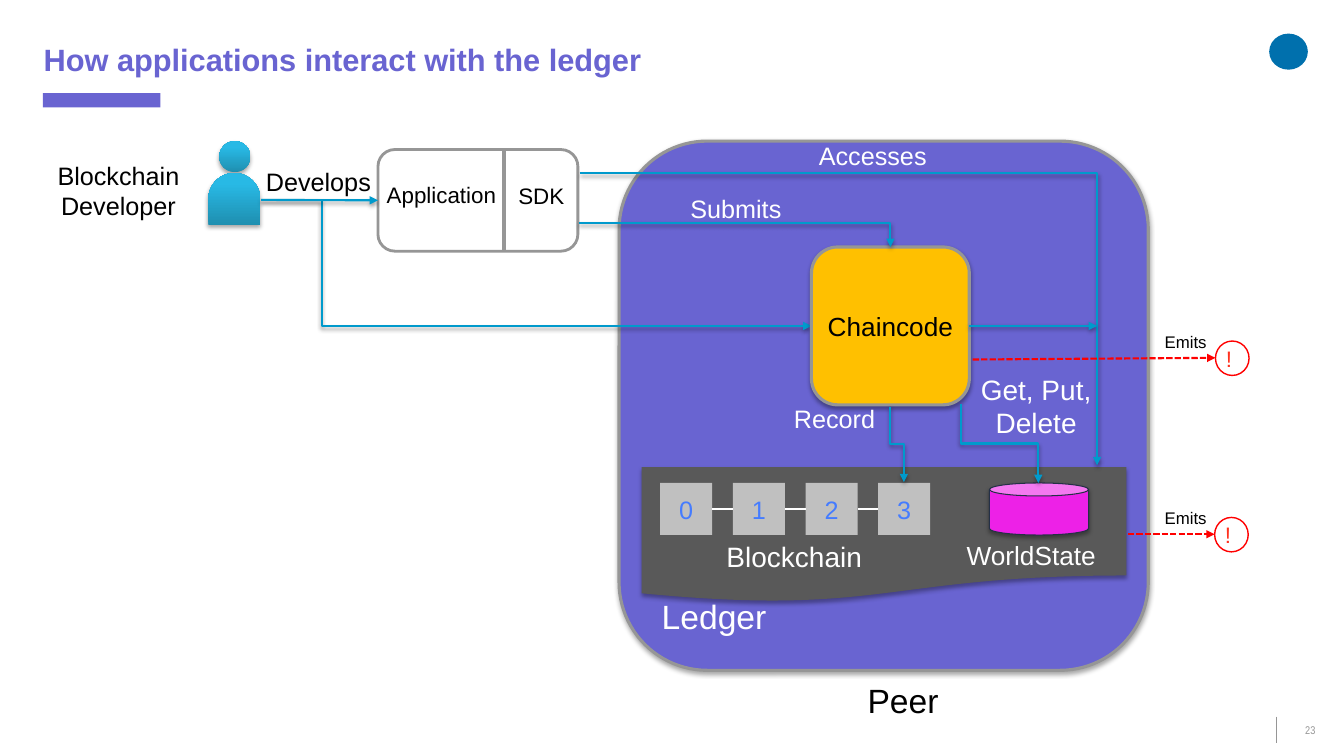
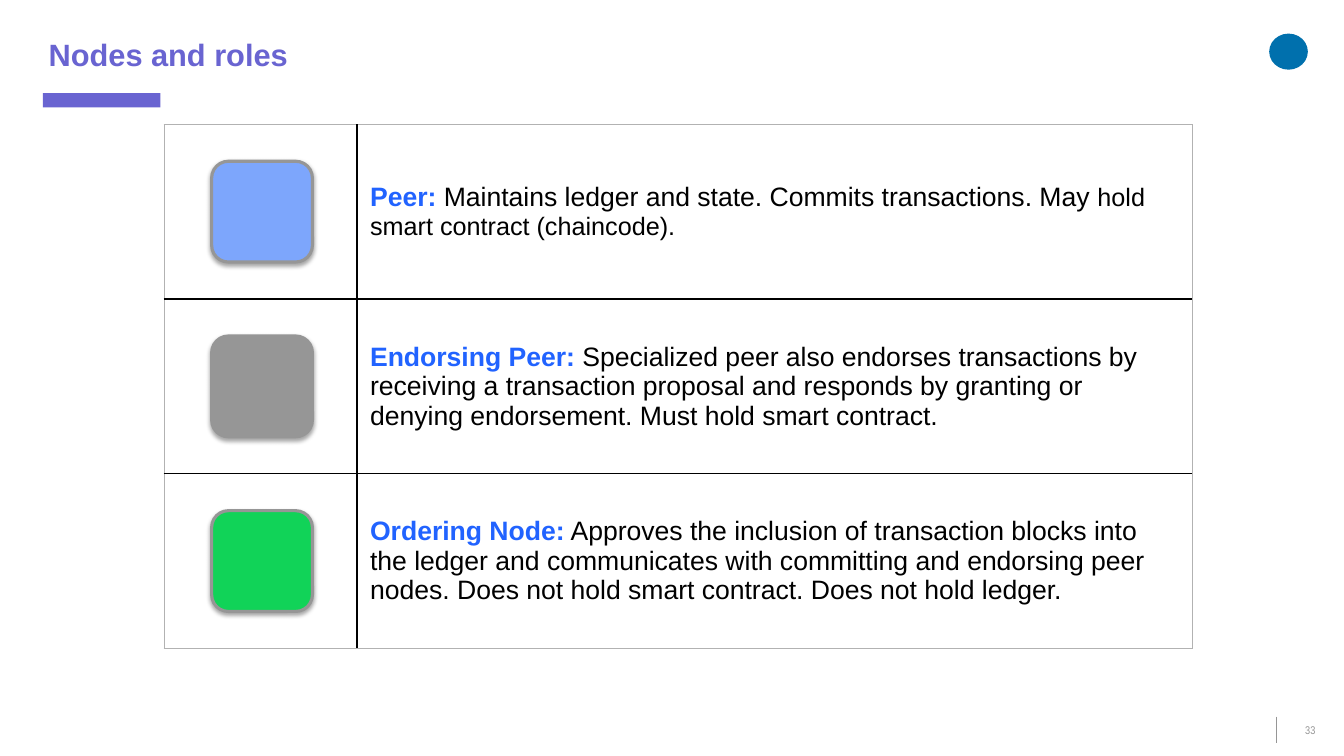
from dataclasses import dataclass
from typing import Optional

import lxml.etree
import pptx
import pptx.dml.color
import pptx.enum.dml
import pptx.enum.shapes
import pptx.enum.text
import pptx.oxml.ns
import pptx.presentation
import pptx.shapes.autoshape
import pptx.shapes.connector
import pptx.slide
import pptx.util

Deck = pptx.presentation.Presentation
Slide = pptx.slide.Slide
Shape = pptx.shapes.autoshape.Shape
Connector = pptx.shapes.connector.Connector
Kind = pptx.enum.shapes.MSO_SHAPE
Align = pptx.enum.text.PP_ALIGN
Anchor = pptx.enum.text.MSO_ANCHOR
Pt = pptx.util.Pt
qn = pptx.oxml.ns.qn

# The slide is a grid of 160 columns by 90 rows.
SLIDE_COLUMNS, SLIDE_ROWS = 160, 90
CELL = pptx.util.Inches(7.5) / SLIDE_ROWS

FONT = "Arial"
VIOLET, CYAN, GREY, RED = "6964D1", "009ACC", "969696", "FF0000"
BLACK, WHITE, TERM_BLUE = "000000", "FFFFFF", "2163FF"
NO_INSETS = (0, 0, 0, 0)

Point = tuple[float, float]


@dataclass(frozen=True)
class Box:
    left: float
    top: float
    width: float
    height: float


@dataclass(frozen=True)
class Label:
    text: str
    box: Box
    size: float = 18
    color: str = BLACK
    align: Align = Align.CENTER


@dataclass(frozen=True)
class Role:
    term: str
    duties: tuple[tuple[str, float], ...]
    color: str


def grid(cells: float) -> int:
    return round(cells * CELL)


def place(box: Box) -> tuple[int, int, int, int]:
    return grid(box.left), grid(box.top), grid(box.width), grid(box.height)


def rgb(color: str) -> pptx.dml.color.RGBColor:
    return pptx.dml.color.RGBColor.from_string(color)


def set_effects(target: Shape | Connector, opacity: int = 0) -> None:
    """Give a soft shadow straight below, or no effect when opacity is 0."""
    effects = lxml.etree.SubElement(target._element.spPr, qn("a:effectLst"))
    if opacity:
        shadow = lxml.etree.SubElement(effects, qn("a:outerShdw"), blurRad=str(Pt(3.1)),
                                       dist=str(Pt(1.8)), dir="5400000", rotWithShape="0")
        tint = lxml.etree.SubElement(shadow, qn("a:srgbClr"), val=BLACK)
        lxml.etree.SubElement(tint, qn("a:alpha"), val=str(opacity * 1000))


def write(shape: Shape, text: str, size: float, color: str, align: Align,
          insets: Optional[tuple[int, ...]] = None, bold: bool = False,
          font: str = FONT) -> None:
    frame = shape.text_frame
    frame.word_wrap = True
    if insets is not None:
        (frame.margin_left, frame.margin_top,
         frame.margin_right, frame.margin_bottom) = insets
    frame.text = text
    for paragraph in frame.paragraphs:
        paragraph.alignment = align
        paragraph.font.name = font
        paragraph.font.size = Pt(size)
        paragraph.font.bold = bold
        paragraph.font.color.rgb = rgb(color)


def add_label(slide: Slide, label: Label) -> None:
    write(slide.shapes.add_textbox(*place(label.box)), label.text, label.size,
          label.color, label.align)


def add_block(slide: Slide, kind: Kind, box: Box, fill: Optional[str] = None,
              outline: Optional[str] = None, weight: float = 2.25,
              shadow: bool = False) -> Shape:
    shape = slide.shapes.add_shape(kind, *place(box))
    if fill:
        shape.fill.solid()
        shape.fill.fore_color.rgb = rgb(fill)
    else:
        shape.fill.background()
    if outline:
        shape.line.color.rgb = rgb(outline)
        shape.line.width = Pt(weight)
    else:
        shape.line.fill.background()
    if shadow:
        set_effects(shape, 35)
    else:
        shape.shadow.inherit = False
    return shape


def style_line(line: Connector, color: str, weight: float, arrow: bool, shadow: bool) -> None:
    line.line.color.rgb = rgb(color)
    line.line.width = Pt(weight)
    if arrow:
        lxml.etree.SubElement(line.line._get_or_add_ln(), qn("a:tailEnd"), type="triangle")
    set_effects(line, 38 if shadow else 0)


def add_line(slide: Slide, start: Point, end: Point, color: str = CYAN, weight: float = 1.5,
             arrow: bool = False, shadow: bool = False, dashed: bool = False) -> Connector:
    line = slide.shapes.add_connector(pptx.enum.shapes.MSO_CONNECTOR.STRAIGHT,
                                      *map(grid, start + end))
    if dashed:
        line.line.dash_style = pptx.enum.dml.MSO_LINE.SQUARE_DOT
    style_line(line, color, weight, arrow, shadow)
    return line


def add_elbow(slide: Slide, start: Point, end: Point, turn: Optional[float] = None,
              vertical: bool = False) -> None:
    """Draw a bent arrow with one corner, or with two at the share `turn` of its way."""
    if vertical:
        middle_x, middle_y = (start[0] + end[0]) / 2, (start[1] + end[1]) / 2
        half_x, half_y = (end[0] - start[0]) / 2, (end[1] - start[1]) / 2
        start = (middle_x + half_y, middle_y - half_x)
        end = (middle_x - half_y, middle_y + half_x)
    elbow = slide.shapes.add_connector(pptx.enum.shapes.MSO_CONNECTOR.ELBOW,
                                       *map(grid, start + end))
    properties = elbow._element.spPr
    if vertical:
        properties.find(qn("a:xfrm")).set("rot", "16200000")
    geometry = properties.find(qn("a:prstGeom"))
    if turn is None:
        geometry.set("prst", "bentConnector2")
    else:
        guides = geometry.find(qn("a:avLst"))
        if guides is None:
            guides = lxml.etree.SubElement(geometry, qn("a:avLst"))
        lxml.etree.SubElement(guides, qn("a:gd"), name="adj1",
                              fmla=f"val {round(turn * 100000)}")
    style_line(elbow, CYAN, 1.5, arrow=True, shadow=True)


def add_base(deck: Deck, title: str, left: float, top: float, number: int) -> Slide:
    """Add a blank slide with title, accent bar, emblem and page number."""
    slide = deck.slides.add_slide(deck.slide_layouts[6])
    add_line(slide, (152, 85.3), (152, 88.4), GREY, 0.75)
    page = slide.shapes.add_textbox(*place(Box(152, 85.3, 8, 3.2)))
    write(page, str(number), 8, GREY, Align.CENTER, font="Arial Narrow")
    page.text_frame.vertical_anchor = Anchor.MIDDLE
    add_block(slide, Kind.RECTANGLE, Box(5.1, 11.1, 14, 1.7), VIOLET)
    add_block(slide, Kind.OVAL, Box(151.1, 4, 4.6, 4.3), "0070AD")
    heading = slide.shapes.add_textbox(*place(Box(left, top, 136, 6)))
    write(heading, title, 22, VIOLET, Align.LEFT, NO_INSETS, bold=True)
    return slide


def add_developer(slide: Slide) -> None:
    head = add_block(slide, Kind.OVAL, Box(26.1, 16.8, 3.7, 3.7), CYAN, shadow=True)
    body = add_block(slide, Kind.ROUND_2_SAME_RECTANGLE, Box(24.8, 20.6, 6.2, 6.2), CYAN,
                     shadow=True)
    body.adjustments[0], body.adjustments[1] = 0.5, 0
    for figure in (head, body):
        figure.fill.gradient()
        figure.fill.gradient_angle = 90
        for stop, color, position in zip(figure.fill.gradient_stops, ("1F8FB0", "28B9E5"),
                                         (0, 0.8)):
            stop.color.rgb = rgb(color)
            stop.position = position


def add_event(slide: Slide, source: Point, left: float, top: float) -> None:
    """Draw a dashed arrow from its source to a ringed exclamation mark."""
    add_line(slide, source, (left, top + 2), RED, arrow=True, dashed=True)
    ring = add_block(slide, Kind.OVAL, Box(left, top, 4, 4.1), WHITE, RED, 1)
    write(ring, "!", 16, "FF3220", Align.CENTER, (0, 0, grid(0.8), 0))
    add_label(slide, Label("Emits", Box(133.9, top - 1.7, 14.5, 3.6), 12))


def add_chain(slide: Slide) -> None:
    side, step = 6.2, 8.65
    previous = None
    for index in range(4):
        left = 78.6 + index * step
        block = add_block(slide, Kind.RECTANGLE, Box(left, 57.5, side, side), "C0C0C0")
        write(block, str(index), 18, "457CFF", Align.CENTER)
        if previous is not None:
            link = add_line(slide, (left - step + side, 60.6), (left, 60.6), WHITE)
            link.begin_connect(previous, 3)
            link.end_connect(block, 1)
        previous = block


def build_interaction(deck: Deck) -> None:
    slide = add_base(deck, "How applications interact with the ledger", 5.2, 4.8, 23)
    add_block(slide, Kind.ROUNDED_RECTANGLE, Box(73.7, 16.8, 63, 63), VIOLET, GREY, shadow=True)
    add_elbow(slide, (31.1, 23.8), (96.6, 38.8), turn=0.11)
    add_developer(slide)

    application = add_block(slide, Kind.ROUNDED_RECTANGLE, Box(45, 17.8, 23.8, 12.1),
                            outline=GREY, weight=2)
    add_line(slide, (60, 17.8), (60, 29.8), GREY, 2.25)
    develops = add_line(slide, (31.1, 23.8), (45, 23.8), arrow=True, shadow=True)
    develops.end_connect(application, 1)

    chaincode = add_block(slide, Kind.ROUNDED_RECTANGLE, Box(96.6, 29.4, 18.8, 18.8), "FFC000",
                          GREY, shadow=True)
    write(chaincode, "Chaincode", 18.7, BLACK, Align.CENTER, NO_INSETS)
    add_elbow(slide, (68.9, 26.6), (106, 29.4))

    add_block(slide, Kind.FLOWCHART_DOCUMENT, Box(76.4, 55.6, 57.7, 16.1), "595959", shadow=True)
    add_chain(slide)
    add_block(slide, Kind.CAN, Box(117.8, 57.5, 11.8, 6.2), "ED21E7", "243046", 0.75, shadow=True)
    add_elbow(slide, (114.4, 48.1), (123.6, 57.5), turn=0.5, vertical=True)
    add_elbow(slide, (106, 48.4), (107.6, 57.4), turn=0.5, vertical=True)
    add_elbow(slide, (69, 20.6), (130.6, 55.4))
    access = add_line(slide, (115.4, 38.8), (130.6, 38.8), arrow=True, shadow=True)
    access.begin_connect(chaincode, 3)

    add_event(slide, (134.3, 63.6), 144.6, 61.6)
    add_event(slide, (115.8, 42.8), 144.7, 40.6)
    for label in (
        Label("Blockchain\nDeveloper", Box(0, 18.5, 28.2, 8.5)),
        Label("Develops", Box(29.9, 19.2, 16, 8.5)),
        Label("Application", Box(43.9, 21, 17.3, 4.4), 16),
        Label("SDK", Box(59.9, 21.1, 9.1, 4.4), 16),
        Label("Accesses", Box(95.9, 16.1, 16, 8.5), color=WHITE),
        Label("Submits", Box(79.6, 22.4, 16, 4.8), color=WHITE),
        Label("Record", Box(90.4, 47.4, 17.9, 4.8), color=WHITE),
        Label("Get, Put, Delete", Box(114.4, 43.7, 17.9, 9.2), 20, WHITE),
        Label("Blockchain", Box(85.3, 63.6, 22.3, 5.3), 20, WHITE, Align.LEFT),
        Label("WorldState", Box(113.9, 63.6, 19.4, 5), 18.7, WHITE, Align.LEFT),
        Label("Ledger", Box(77.6, 70.4, 16, 6), 24, WHITE, Align.LEFT),
        Label("Peer", Box(102.1, 80.4, 16, 6), 24, align=Align.LEFT),
    ):
        add_label(slide, label)


ROLES = (
    Role("Peer:", ((" Maintains ledger and state. Commits transactions. May ", 19),
                   ("hold smart contract (chaincode).", 18)), "7DA6FC"),
    Role("Endorsing Peer:", ((" Specialized peer also endorses transactions by receiving a "
                              "transaction proposal and responds by granting or denying "
                              "endorsement. Must hold smart contract.", 19),), GREY),
    Role("Ordering Node:", ((" Approves the inclusion of transaction blocks into the ledger "
                             "and communicates with committing and endorsing peer nodes. Does "
                             "not hold smart contract. Does not hold ledger.", 19),), "11D358"),
)


def build_roles(deck: Deck) -> None:
    slide = add_base(deck, "Nodes and roles", 5.8, 4.2, 33)
    left, top, row_height, widths, marker = 19.5, 14.8, 20.8, (23, 99.4), 12
    table = slide.shapes.add_table(
        len(ROLES), 2, *place(Box(left, top, sum(widths), row_height * len(ROLES)))).table
    table.first_row = table.horz_banding = False
    for column, width in zip(table.columns, widths):
        column.width = grid(width)
    for index, role in enumerate(ROLES):
        table.rows[index].height = grid(row_height)
        for column in range(2):
            cell = table.cell(index, column)
            outer = {"L": column == 0, "R": column == 1,
                     "T": index == 0, "B": index == len(ROLES) - 1}
            for side, is_outer in outer.items():
                edge = lxml.etree.SubElement(cell._tc.get_or_add_tcPr(), qn(f"a:ln{side}"),
                                             w=str(Pt(0.5 if is_outer else 1)))
                paint = lxml.etree.SubElement(edge, qn("a:solidFill"))
                lxml.etree.SubElement(paint, qn("a:srgbClr"), val="B2B2B2" if is_outer else BLACK)
            cell.fill.background()
        description = table.cell(index, 1)
        description.vertical_anchor = Anchor.MIDDLE
        description.margin_left = description.margin_right = pptx.util.Inches(0.13)
        description.margin_top = description.margin_bottom = pptx.util.Inches(0.07)
        paragraph = description.text_frame.paragraphs[0]
        paragraph.font.name = FONT
        for text, size in ((role.term, 19), *role.duties):
            run = paragraph.add_run()
            run.text = text
            run.font.size = Pt(size)
            run.font.bold = text == role.term
            run.font.color.rgb = rgb(TERM_BLUE if text == role.term else BLACK)
        add_block(slide, Kind.ROUNDED_RECTANGLE,
                  Box(left + (widths[0] - marker) / 2 + 0.2,
                      top + index * row_height + (row_height - marker) / 2, marker, marker),
                  role.color, GREY, shadow=True)


def main() -> None:
    deck = pptx.Presentation()
    deck.slide_width, deck.slide_height = grid(SLIDE_COLUMNS), grid(SLIDE_ROWS)
    build_interaction(deck)
    build_roles(deck)
    deck.save("out.pptx")


if __name__ == "__main__":
    main()
